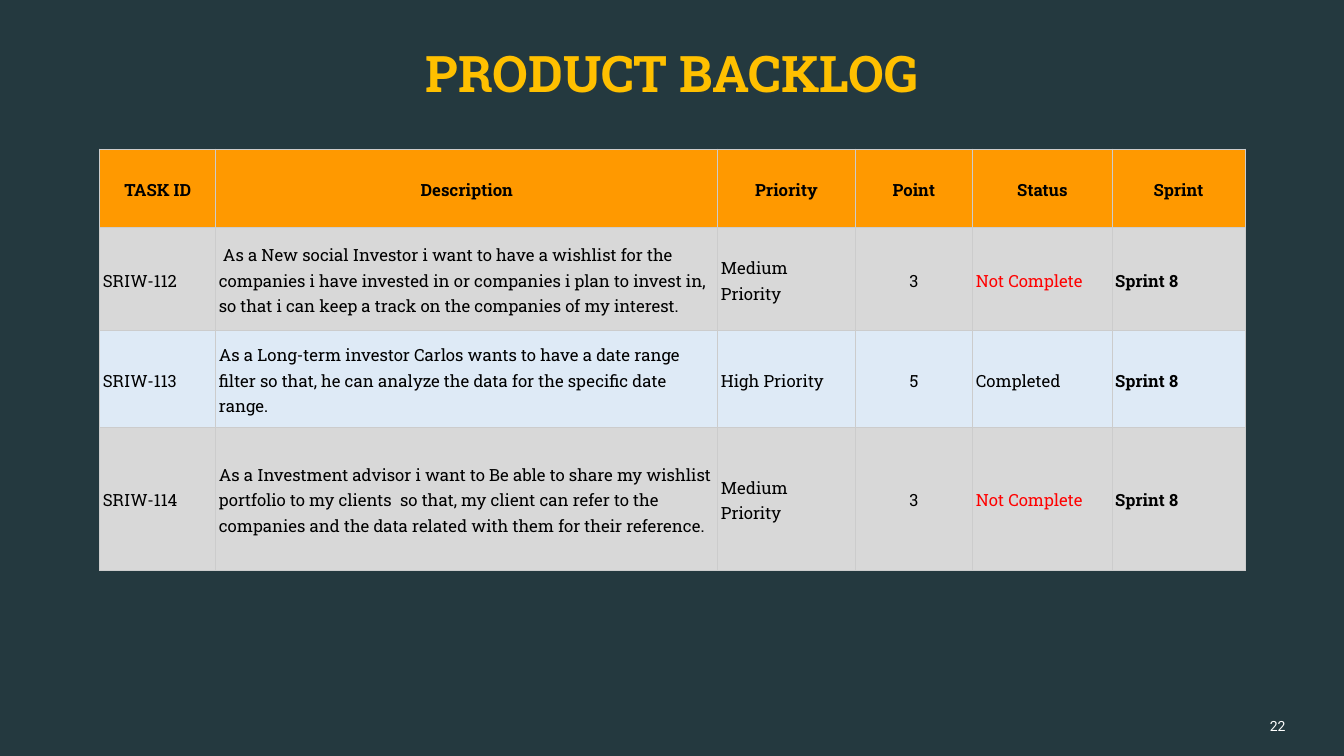
from dataclasses import dataclass

from lxml import etree
from pptx import Presentation
from pptx.dml.color import RGBColor
from pptx.enum.text import MSO_ANCHOR, MSO_AUTO_SIZE, PP_ALIGN
from pptx.oxml.ns import qn
from pptx.util import Inches, Pt

LEFT, CENTER, RIGHT = PP_ALIGN.LEFT, PP_ALIGN.CENTER, PP_ALIGN.RIGHT
TOP, MIDDLE = MSO_ANCHOR.TOP, MSO_ANCHOR.MIDDLE
NO_AUTOFIT = MSO_AUTO_SIZE.NONE


@dataclass(frozen=True)
class Theme:
    background: str = "24393F"
    title: str = "FFC000"
    header: str = "FF9900"
    gray_row: str = "D8D8D8"
    blue_row: str = "DEEAF6"
    border: str = "CCCCCC"
    text: str = "000000"
    alert: str = "FF0000"
    page_number: str = "FFFFFF"
    slab: str = "Roboto Slab"
    sans: str = "Roboto"
    title_size: int = 36
    table_size: int = 12
    number_size: int = 10


THEME = Theme()

HEADINGS = ["TASK ID", "Description", "Priority", "Point", "Status", "Sprint"]
STORIES = [
    ["SRIW-112",
     " As a New social Investor i want to have a wishlist for the companies "
     "i have invested in or companies i plan to invest in, so that i can keep "
     "a track on the companies of my interest.",
     "Medium Priority", "3", "Not Complete", "Sprint 8"],
    ["SRIW-113",
     "As a Long-term investor Carlos wants to have a date range filter so that, "
     "he can analyze the data for the specific date range.",
     "High Priority", "5", "Completed", "Sprint 8"],
    ["SRIW-114",
     "As a Investment advisor i want to Be able to share my wishlist portfolio "
     "to my clients  so that, my client can refer to the companies and the data "
     "related with them for their reference.",
     "Medium Priority", "3", "Not Complete", "Sprint 8"],
]
COLUMN_WIDTHS = [1.15, 4.98, 1.36, 1.17, 1.38, 1.32]
ROW_HEIGHTS = [0.78, 1.02, 0.95, 1.42]


def write(target, text, font_name, size, color, bold, alignment, anchor):
    """Fill a text frame with one paragraph and no inner margins."""
    target.margin_left = target.margin_right = 0
    target.margin_top = target.margin_bottom = 0
    target.word_wrap = True
    target.auto_size = NO_AUTOFIT
    target.vertical_anchor = anchor
    paragraph = target.paragraphs[0]
    paragraph.text = text
    paragraph.alignment = alignment
    font = paragraph.font
    font.name, font.size, font.bold = font_name, Pt(size), bold
    font.color.rgb = RGBColor.from_string(color)


def add_borders(cell):
    properties = cell._tc.get_or_add_tcPr()
    for side in ("a:lnL", "a:lnR", "a:lnT", "a:lnB"):
        line = etree.SubElement(properties, qn(side), w=str(Pt(0.75)))
        fill = etree.SubElement(line, qn("a:solidFill"))
        etree.SubElement(fill, qn("a:srgbClr"), val=THEME.border)


presentation = Presentation()
presentation.slide_width = Inches(13.33)
presentation.slide_height = Inches(7.5)
slide = presentation.slides.add_slide(presentation.slide_layouts[5])
slide.background.fill.solid()
slide.background.fill.fore_color.rgb = RGBColor.from_string(THEME.background)

# Title
title = slide.shapes.title
title.left, title.top = Inches(1.18), Inches(0.42)
title.width, title.height = Inches(10.97), Inches(0.72)
write(title.text_frame, "PRODUCT BACKLOG", THEME.slab, THEME.title_size,
      THEME.title, True, CENTER, TOP)

# Backlog table
rows = [HEADINGS] + STORIES
table = slide.shapes.add_table(
    len(rows), len(HEADINGS), Inches(0.99), Inches(1.48),
    Inches(sum(COLUMN_WIDTHS)), Inches(sum(ROW_HEIGHTS))).table
for column, width in zip(table.columns, COLUMN_WIDTHS):
    column.width = Inches(width)
for row, height in zip(table.rows, ROW_HEIGHTS):
    row.height = Inches(height)

row_fills = [THEME.header, THEME.gray_row, THEME.blue_row, THEME.gray_row]
for row_index, (values, row_fill) in enumerate(zip(rows, row_fills)):
    is_header = row_index == 0
    for column_index, (heading, value) in enumerate(zip(HEADINGS, values)):
        cell = table.cell(row_index, column_index)
        add_borders(cell)
        cell.fill.solid()
        cell.fill.fore_color.rgb = RGBColor.from_string(row_fill)
        cell.margin_left = cell.margin_right = Inches(0.03)
        cell.margin_top = cell.margin_bottom = Inches(0.1)
        cell.vertical_anchor = MIDDLE
        paragraph = cell.text_frame.paragraphs[0]
        paragraph.text = value
        paragraph.alignment = CENTER if is_header or heading == "Point" else LEFT
        paragraph.line_spacing = 1.15
        font = paragraph.font
        font.name, font.size = THEME.slab, Pt(THEME.table_size)
        font.bold = is_header or heading == "Sprint"
        color = THEME.alert if value == "Not Complete" else THEME.text
        font.color.rgb = RGBColor.from_string(color)

# Page number
page_number = slide.shapes.add_textbox(
    Inches(10.33), Inches(7), Inches(2.42), Inches(0.4))
write(page_number.text_frame, "22", THEME.sans, THEME.number_size,
      THEME.page_number, False, RIGHT, MIDDLE)

presentation.save("out.pptx")
